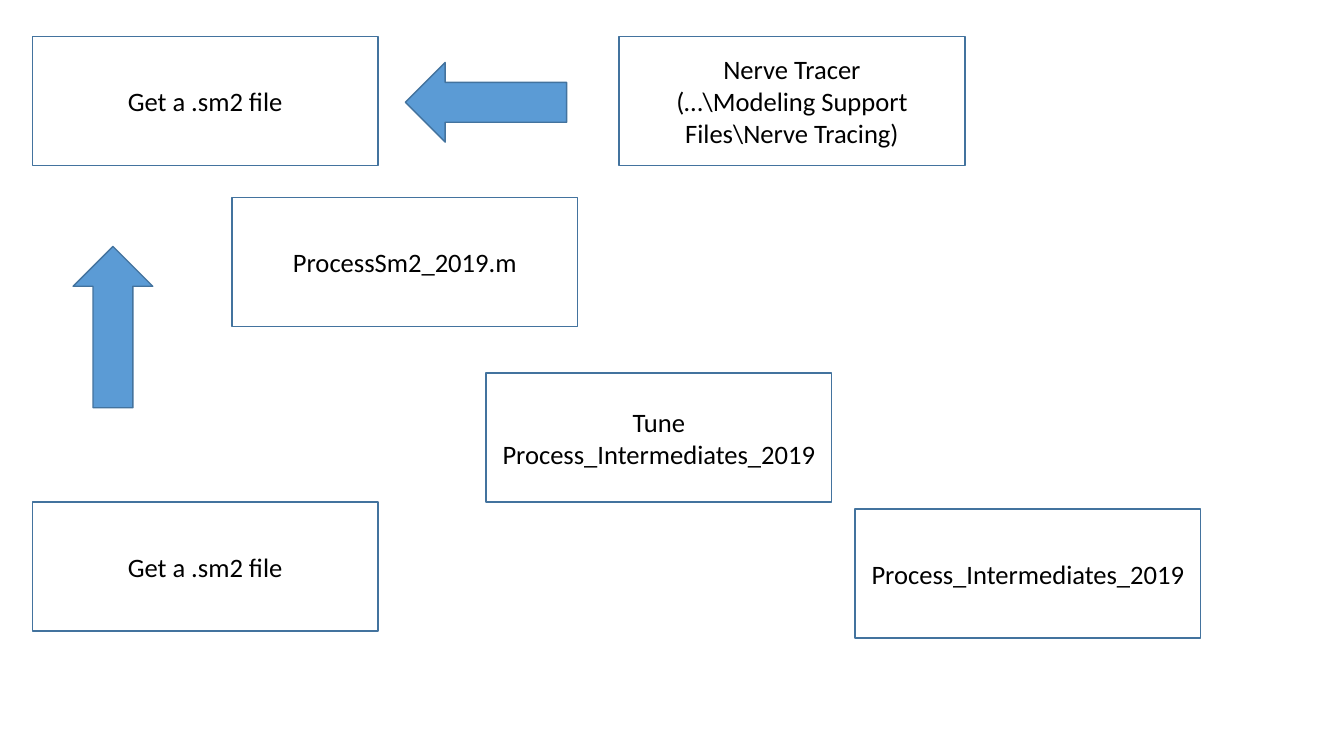
from pptx import Presentation
from pptx.dml.color import RGBColor
from pptx.enum.shapes import MSO_SHAPE
from pptx.enum.text import MSO_ANCHOR, PP_ALIGN
from pptx.util import Inches, Pt

RECT, ARROW = MSO_SHAPE.RECTANGLE, MSO_SHAPE.RIGHT_ARROW
MIDDLE, CENTER = MSO_ANCHOR.MIDDLE, PP_ALIGN.CENTER

COLORS = {"box": "FFFFFF", "line": "43739E", "arrow": "5B9BD5", "text": "000000"}
BOX_W, BOX_H = 3.43, 1.28
ARROW_W, ARROW_H = 1.6, 0.79
LEFT, TOP = 0.32, 0.36

STEPS = [
    (2.3, 1.96, ["ProcessSm2_2019.m"]),
    (LEFT, TOP, ["Get a .sm2 file"]),
    (4.82, 3.7, ["Tune Process_Intermediates_2019"]),
    (8.48, 5.05, ["Process_Intermediates_2019"]),
    (6.14, TOP, ["Nerve Tracer", "(…\\Modeling Support Files\\Nerve Tracing)"]),
    (LEFT, 4.98, ["Get a .sm2 file"]),
]
ARROWS = [(4.02, 0.62, 180), (LEFT, 2.85, 270)]


def rgb(name):
    """Return the named colour."""
    return RGBColor.from_string(COLORS[name])


def add_shape(s, kind, x, y, w, h, fill):
    """Add an outlined, shadowless shape."""
    sp = s.shapes.add_shape(kind, Inches(x), Inches(y), Inches(w), Inches(h))
    sp.shadow.inherit = False
    sp.fill.solid()
    sp.fill.fore_color.rgb = rgb(fill)
    sp.line.color.rgb = rgb("line")
    sp.line.width = Pt(1)
    return sp


def write_text(sp, lines, size=19, font="Calibri", color="text", align=CENTER):
    """Write one paragraph per line into a shape."""
    tf = sp.text_frame
    tf.word_wrap = True
    tf.vertical_anchor = MIDDLE
    for i, line in enumerate(lines):
        p = tf.add_paragraph() if i else tf.paragraphs[0]
        p.alignment = align
        r = p.add_run()
        r.text = line
        r.font.size = Pt(size)
        r.font.name = font
        r.font.color.rgb = rgb(color)


def add_steps(s, x, y):
    """Add the step boxes, offset from the corner x, y."""
    for dx, dy, lines in STEPS:
        sp = add_shape(s, RECT, x + dx, y + dy, BOX_W, BOX_H, "box")
        write_text(sp, lines)


def add_arrows(s, x, y):
    """Add the turned arrows, offset from the corner x, y."""
    for dx, dy, angle in ARROWS:
        sp = add_shape(s, ARROW, x + dx, y + dy, ARROW_W, ARROW_H, "arrow")
        sp.rotation = angle


def build_workflow(prs):
    """Add the workflow slide."""
    s = prs.slides.add_slide(prs.slide_layouts[6])
    add_steps(s, 0, 0)
    add_arrows(s, 0, 0)


prs = Presentation()
prs.slide_width, prs.slide_height = Inches(13.33), Inches(7.5)
build_workflow(prs)
prs.save("out.pptx")
